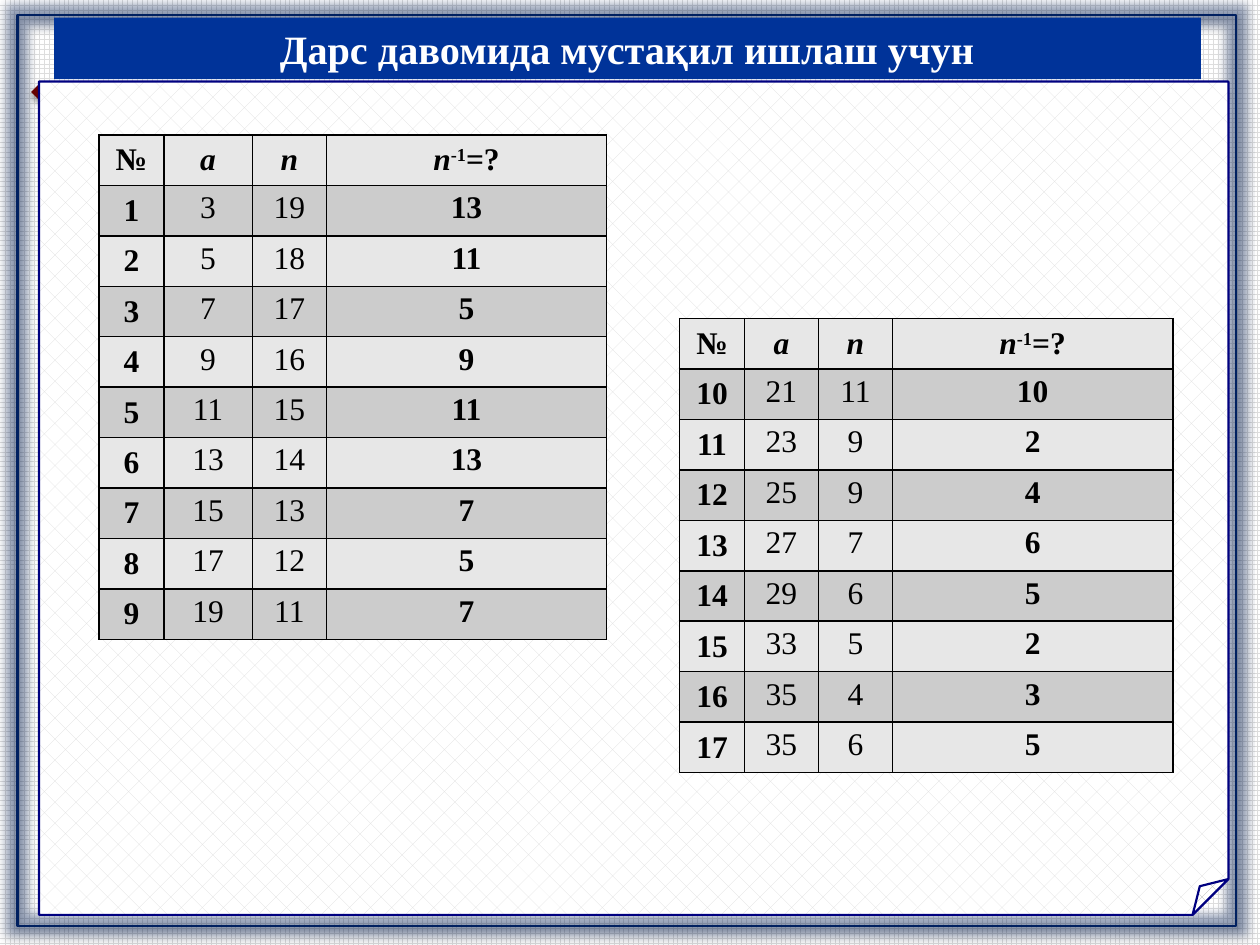
from dataclasses import dataclass

from pptx import Presentation
from pptx.dml.color import RGBColor
from pptx.enum.dml import MSO_PATTERN
from pptx.enum.shapes import MSO_CONNECTOR, MSO_SHAPE
from pptx.enum.text import MSO_ANCHOR, PP_ALIGN
from pptx.oxml import parse_xml
from pptx.oxml.ns import nsdecls, qn
from pptx.util import Pt

GRID, DIAMOND = MSO_PATTERN.LARGE_GRID, MSO_PATTERN.DOTTED_DIAMOND
RECT, PROCESS = MSO_SHAPE.RECTANGLE, MSO_SHAPE.FLOWCHART_PROCESS
FOLDED = MSO_SHAPE.FOLDED_CORNER
STRAIGHT = MSO_CONNECTOR.STRAIGHT
MIDDLE, TOP = MSO_ANCHOR.MIDDLE, MSO_ANCHOR.TOP
CENTER = PP_ALIGN.CENTER

BLACK = RGBColor(0x00, 0x00, 0x00)
WHITE = RGBColor(0xFF, 0xFF, 0xFF)
MESH = RGBColor(0xDD, 0xDD, 0xDD)
NAVY = RGBColor(0x00, 0x20, 0x60)
BLUE = RGBColor(0x00, 0x33, 0x99)
INK = RGBColor(0x00, 0x00, 0x80)
MAROON = RGBColor(0x66, 0x00, 0x00)
BANDS = (RGBColor(0xE7, 0xE7, 0xE7), RGBColor(0xCC, 0xCC, 0xCC))

FACE = "Times New Roman"
ROW = 28.85
GLOW = (f'<a:glow rad="127000"><a:srgbClr val="{NAVY}">'
        '<a:alpha val="35000"/></a:srgbClr></a:glow>')


@dataclass
class Grid:
    left: float
    top: float
    cols: tuple[float, ...]
    inset: float
    first: int
    rows: list[tuple[int, int, int]]


GRIDS = [
    Grid(56.6, 77.1, (37, 50.6, 42.3, 160.2), 5.4, 1,
         [(3, 19, 13), (5, 18, 11), (7, 17, 5), (9, 16, 9), (11, 15, 11),
          (13, 14, 13), (15, 13, 7), (17, 12, 5), (19, 11, 7)]),
    Grid(388.4, 182, (37, 42.3, 42.3, 160.2), 4.9, 10,
         [(21, 11, 10), (23, 9, 2), (25, 9, 4), (27, 7, 6),
          (29, 6, 5), (33, 5, 2), (35, 4, 3), (35, 6, 5)]),
]


def add_fx(shape, extra: str = "") -> None:
    """Add a soft shadow straight below, after any extra effect."""
    shape._element.spPr.append(parse_xml(
        f'<a:effectLst {nsdecls("a")}>{extra}'
        '<a:outerShdw blurRad="39370" dist="22860" dir="5400000" rotWithShape="0">'
        f'<a:srgbClr val="{BLACK}"><a:alpha val="35000"/></a:srgbClr>'
        '</a:outerShdw></a:effectLst>'))


def add_edges(cell) -> None:
    """Draw the four black borders; they must come before the cell fill."""
    props = cell._tc.get_or_add_tcPr()
    for i, side in enumerate(("lnL", "lnR", "lnT", "lnB")):
        props.insert(i, parse_xml(
            f'<a:{side} {nsdecls("a")} w="12700"><a:solidFill>'
            f'<a:srgbClr val="{BLACK}"/></a:solidFill></a:{side}>'))


def set_font(para, size: float, color: RGBColor, bold: bool) -> None:
    para.alignment = CENTER
    font = para.font
    font.name, font.size, font.bold = FACE, Pt(size), bold
    font.color.rgb = color


def add_grid(slide, grid: Grid) -> None:
    count = len(grid.rows) + 1
    table = slide.shapes.add_table(
        count, len(grid.cols), Pt(grid.left), Pt(grid.top),
        Pt(sum(grid.cols)), Pt(count * ROW)).table
    table.first_row = table.horz_banding = False
    for col, width in zip(table.columns, grid.cols):
        col.width = Pt(width)
    lines = [("№", "a", "n", "n")]
    lines += [(grid.first + i, *row) for i, row in enumerate(grid.rows)]
    for r, line in enumerate(lines):
        table.rows[r].height = Pt(ROW)
        for c, value in enumerate(line):
            cell = table.cell(r, c)
            label = r == 0 or c == 0
            cell.fill.solid()
            cell.fill.fore_color.rgb = BANDS[r % 2]
            add_edges(cell)
            cell.vertical_anchor = MIDDLE if label else TOP
            cell.margin_left = cell.margin_right = Pt(7.2 if label else grid.inset)
            cell.margin_top = cell.margin_bottom = Pt(3.6 if label else 0)
            para = cell.text_frame.paragraphs[0]
            if not label:
                para.line_spacing = 1.15
            set_font(para, 18, BLACK, label or c == 3)
            run = para.add_run()
            run.text = str(value)
            if r == 0 and c > 0:
                run.font.italic = True
    # Inverse heading: raised exponent, then the question
    para = table.cell(0, 3).text_frame.paragraphs[0]
    power, ask = para.add_run(), para.add_run()
    power.text, ask.text = "-1", "=?"
    power._r.get_or_add_rPr().set("baseline", "30000")


def add_box(slide, kind, left: float, top: float, width: float, height: float):
    return slide.shapes.add_shape(kind, Pt(left), Pt(top), Pt(width), Pt(height))


def set_mesh(fill, kind) -> None:
    fill.patterned()
    fill.pattern = kind
    fill.fore_color.rgb, fill.back_color.rgb = MESH, WHITE


def set_line(shape, color: RGBColor, width: float) -> None:
    shape.line.color.rgb = color
    shape.line.width = Pt(width)


def main() -> None:
    deck = Presentation()
    deck.slide_width, deck.slide_height = Pt(720), Pt(540)
    slide = deck.slides.add_slide(deck.slide_layouts[6])
    set_mesh(slide.background.fill, GRID)

    # Outer frame
    frame = add_box(slide, PROCESS, 10.1, 8.7, 696.2, 520.5)
    frame.fill.background()
    set_line(frame, NAVY, 1.5)
    add_fx(frame, GLOW)

    # Rule with diamond ends
    rule = slide.shapes.add_connector(STRAIGHT, Pt(22.3), Pt(52.6), Pt(697), Pt(52.6))
    set_line(rule, MAROON, 3)
    ends = rule._element.spPr.find(qn("a:ln"))
    for end in ("headEnd", "tailEnd"):
        ends.append(parse_xml(f'<a:{end} {nsdecls("a")} type="diamond"/>'))
    add_fx(rule)

    # Title bar
    bar = add_box(slide, RECT, 31, 10, 655.2, 35.3)
    bar.shadow.inherit = False
    bar.fill.solid()
    bar.fill.fore_color.rgb = BLUE
    bar.line.fill.background()
    bar.text_frame.word_wrap = True
    bar.text_frame.vertical_anchor = MIDDLE
    title = bar.text_frame.paragraphs[0]
    title.text = "Дарс давомида мустақил ишлаш учун"
    set_font(title, 23, WHITE, True)

    # Page with folded corner
    page = add_box(slide, FOLDED, 22.3, 46.6, 679.7, 476.2)
    page.shadow.inherit = False
    shape = page._element.spPr.find(qn("a:prstGeom"))
    shape.get_or_add_avLst().append(parse_xml(
        f'<a:gd {nsdecls("a")} name="adj" fmla="val 4300"/>'))
    set_mesh(page.fill, DIAMOND)
    set_line(page, INK, 1.25)

    # Tables
    for grid in GRIDS:
        add_grid(slide, grid)

    deck.save("out.pptx")


if __name__ == "__main__":
    main()
